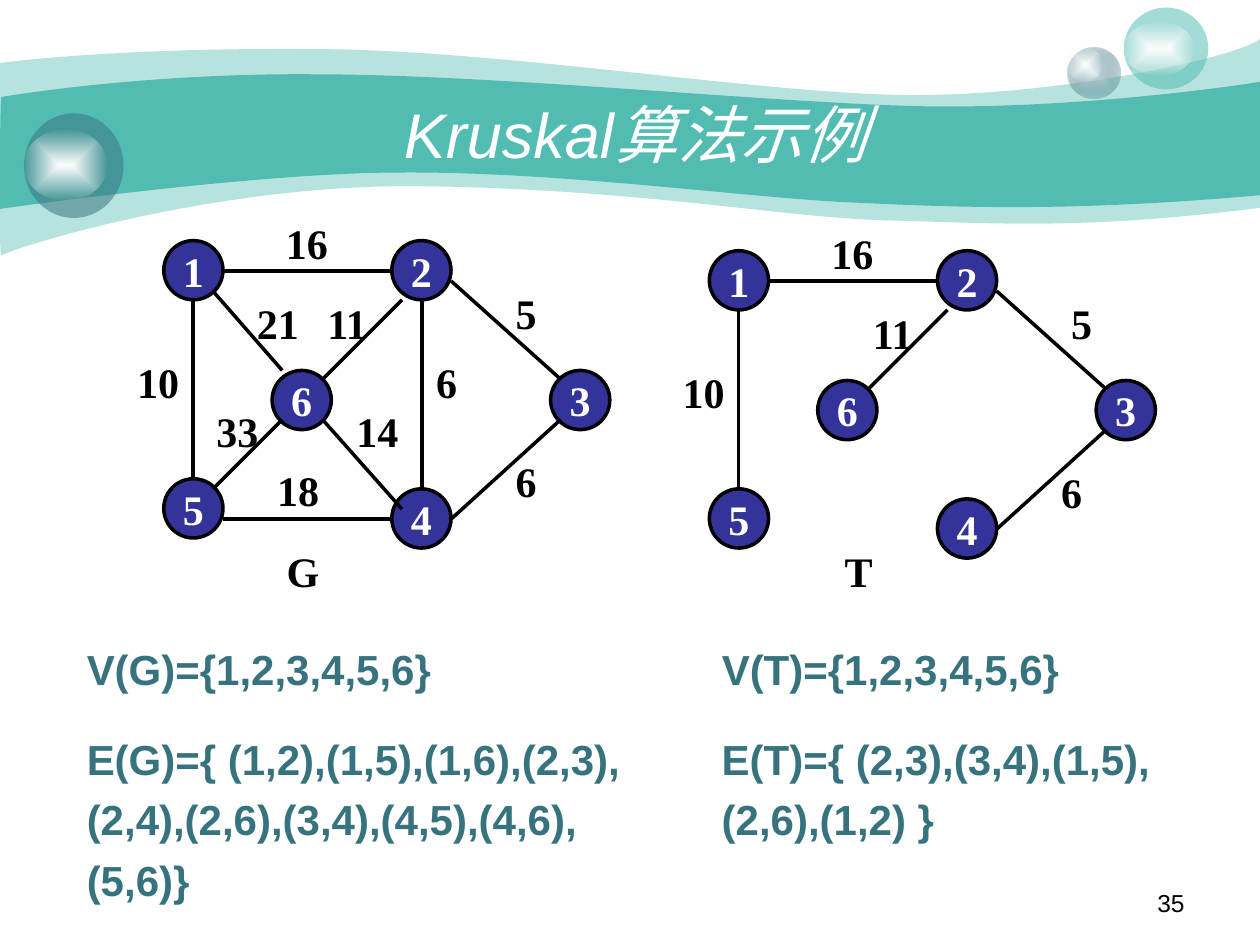
from lxml import etree
from pptx import Presentation, oxml, util as u
from pptx.dml.color import RGBColor
from pptx.enum import shapes as s, text as t
from pptx.oxml import ns

rgb = RGBColor.from_string
prs = Presentation()
prs.slide_width, prs.slide_height = u.Inches(10), u.Inches(7.5)
page = prs.slides.add_slide(prs.slide_layouts[6])
art = page.shapes


def paint(shp, stops):
    """Fill with one (hue, alpha) stop, or with a rectangular gradient of two."""
    shp.shadow.inherit = False
    shp.line.fill.background()
    shp.fill.solid()
    hues = [f'<a:srgbClr val="{hue}"><a:alpha val="{alpha * 1000}"/></a:srgbClr>'
            for hue, alpha in stops]
    if len(hues) == 1:
        xml = f'<a:solidFill {ns.nsdecls("a")}>{hues[0]}</a:solidFill>'
    else:
        xml = (f'<a:gradFill {ns.nsdecls("a")} rotWithShape="1"><a:gsLst>'
               f'<a:gs pos="0">{hues[0]}</a:gs><a:gs pos="100000">{hues[1]}</a:gs>'
               '</a:gsLst><a:path path="rect"><a:fillToRect l="50000" t="50000" '
               'r="50000" b="50000"/></a:path></a:gradFill>')
    props = shp.element.spPr
    props.replace(props.find(ns.qn("a:solidFill")), oxml.parse_xml(xml))


def write(shp, words, hue="000000", align="CENTER", wrap=True, mid=False,
          space=1.0, **form):
    """Put one formatted paragraph into a shape."""
    frame = shp.text_frame
    frame.word_wrap = wrap
    frame.vertical_anchor = t.MSO_ANCHOR.MIDDLE if mid else t.MSO_ANCHOR.TOP
    para = frame.paragraphs[0]
    para.alignment = getattr(t.PP_ALIGN, align)
    para.line_spacing = space
    run = para.add_run()
    run.text = words
    run.font.color.rgb = rgb(hue)
    for key, val in form.items():
        setattr(run.font, key, val)


# Waves: start point, then cubic curves (6 numbers) and straight lines (2)
waves = [
    (41, (0, 0.5), [
        (0.24, 0.47, 1.07, 0.38, 2.47, 0.39), (3.86, 0.39, 5.75, 0.7, 6.99, 0.75),
        (8.22, 0.8, 9.8, 0.47, 10, 0.31), (10, 1.65),
        (8.58, 1.83, 7.87, 1.77, 7.05, 1.75), (6.22, 1.73, 5.15, 1.51, 3.43, 1.48),
        (1.72, 1.44, 0.04, 1.99, 0.01, 2.03), (-0.01, 2.08, 0, 0.75, 0, 0.5)]),
    (100, (0.01, 0.77), [
        (0.02, 0.77, 1.1, 0.58, 2.48, 0.59), (3.86, 0.59, 5.95, 0.8, 7.18, 0.84),
        (8.41, 0.88, 9.76, 0.69, 10, 0.65), (10, 1.55),
        (8.53, 1.68, 7.65, 1.65, 6.82, 1.61), (5.99, 1.58, 4.47, 1.36, 3.17, 1.37),
        (2.03, 1.37, -0.02, 1.66, -0.01, 1.66), (0, 1.66, 0, 0.77, 0.01, 0.77)]),
]
unit = 1000  # outline steps to the inch
for alpha, start, parts in waves:
    dots = [(part[k] * unit, part[k + 1] * unit)
            for part in parts for k in range(0, len(part), 2)]
    build = art.build_freeform(start[0] * unit, start[1] * unit,
                               scale=u.Inches(1) / unit)
    build.add_line_segments(dots, close=True)
    wave = build.convert_to_shape()
    # Join each three points of a curve into one cubic segment
    legs = iter(list(wave.element.spPr.iter(ns.qn("a:lnTo"))))
    for part in parts:
        trio = [next(legs) for _ in range(len(part) // 2)]
        if len(trio) == 3:
            trio[0].tag = ns.qn("a:cubicBezTo")
            for leg in trio[1:]:
                trio[0].append(leg[0])
                leg.getparent().remove(leg)
    paint(wave, [("52BCB2", alpha)])

# Glass balls, each with its shine
shine = [("FFFFFF", 100), ("FFFFFF", 0)]
balls = [
    ((8.47, 0.38, 0.42, 0.4), [("CCDBDE", 100), ("37737F", 31)]),
    ((8.47, 0.38, 0.28, 0.27), shine),
    ((8.92, 0.06, 0.67, 0.65), [("52BCB2", 53)]),
    ((8.92, 0.17, 0.56, 0.43), shine),
    ((0.19, 0.9, 0.79, 0.83), [("37737F", 53)]),
    ((0.19, 1.03, 0.66, 0.56), shine),
]
for at, stops in balls:
    paint(art.add_shape(s.MSO_SHAPE.OVAL, *map(u.Inches, at)), stops)

# Graph G and its spanning tree T, which sits at a fixed offset
nodes = {1: (1.3, 1.91), 2: (3.11, 1.91), 3: (4.37, 2.94),
         4: (3.11, 3.88), 5: (1.3, 3.8), 6: (2.16, 2.94)}
# Edge: line ends, weight, place of the weight
edges = {
    (1, 5): ((1.53, 2.38, 1.53, 3.8), "10", (0.98, 2.78)),
    (1, 2): ((1.77, 2.15, 3.11, 2.15), "16", (2.16, 1.68)),
    (4, 5): ((1.77, 4.12, 3.11, 4.12), "18", (2.09, 3.64)),
    (2, 4): ((3.35, 2.38, 3.35, 3.88), "6", (3.27, 2.78)),
    (1, 6): ((1.69, 2.31, 2.24, 2.94), "21", (1.93, 2.31)),
    (4, 6): ((2.56, 3.33, 3.19, 4.04), "14", (2.72, 3.17)),
    (5, 6): ((1.69, 3.88, 2.24, 3.33), "33", (1.61, 3.17)),
    (2, 6): ((2.56, 3.01, 3.19, 2.38), "11", (2.48, 2.31)),
    (2, 3): ((3.58, 2.23, 4.45, 3.01), "5", (3.9, 2.23)),
    (3, 4): ((3.58, 4.12, 4.45, 3.33), "6", (3.9, 3.57)),
}
tree = [(2, 3), (3, 4), (1, 5), (2, 6), (1, 2)]
bold = dict(name="Times New Roman", size=u.Pt(24), bold=True)
for dx, dy, keys, nudge in [(0, 0, list(edges), 0), (4.33, 0.08, tree, 0.08)]:
    for num, (x, y) in nodes.items():
        node = art.add_shape(s.MSO_SHAPE.OVAL, u.Inches(x + dx), u.Inches(y + dy),
                             u.Inches(0.47), u.Inches(0.47))
        paint(node, [("333399", 100)])
        node.line.color.rgb = rgb("000000")
        node.line.width = u.Pt(2)
        write(node, str(num), "FFFFFF", wrap=False, mid=True, **bold)
    for key in keys:
        (x1, y1, x2, y2), cost, (x, y) = edges[key]
        ends = x1 + dx, y1 + dy, x2 + dx, y2 + dy
        edge = art.add_connector(s.MSO_CONNECTOR.STRAIGHT, *map(u.Inches, ends))
        edge.line.color.rgb = rgb("000000")
        edge.line.width = u.Pt(2)
        etree.SubElement(edge.element.spPr, ns.qn("a:effectLst"))
        # The weight of edge (2, 3) stands further out in the tree
        x += nudge if key == (2, 3) else 0
        write(art.add_textbox(u.Inches(x + dx), u.Inches(y + dy),
                              u.Inches(0.55), u.Inches(0.5)), cost, **bold)

# Captions, sets, title and page number
teal = dict(hue="37737F", align="LEFT", space=1.2, name="Arial",
            size=u.Pt(24), bold=True)
head = dict(hue="FFFFFF", mid=True, name="Arial", size=u.Pt(36), italic=True)
foot = dict(align="RIGHT", name="Arial", size=u.Pt(14))
cap = dict(bold, space=1.2)
notes = [
    ((2.09, 4.2, 0.63, 0.58), "G", cap),
    ((6.5, 4.2, 0.63, 0.58), "T", cap),
    ((0.59, 4.98, 4.25, 0.58), "V(G)={1,2,3,4,5,6}", teal),
    ((0.59, 5.69, 4.88, 1.54),
     "E(G)={ (1,2),(1,5),(1,6),(2,3), (2,4),(2,6),(3,4),(4,5),(4,6),(5,6)}", teal),
    ((5.63, 4.98, 4.25, 0.58), "V(T)={1,2,3,4,5,6}", teal),
    ((5.63, 5.69, 4.1, 1.06), "E(T)={ (2,3),(3,4),(1,5), (2,6),(1,2) }", teal),
    ((1, 0.75, 8.08, 0.62), "Kruskal算法示例", head),
    ((7.17, 7, 2.33, 0.35), "35", foot),
]
for at, words, form in notes:
    write(art.add_textbox(*map(u.Inches, at)), words, **form)

prs.save("out.pptx")
